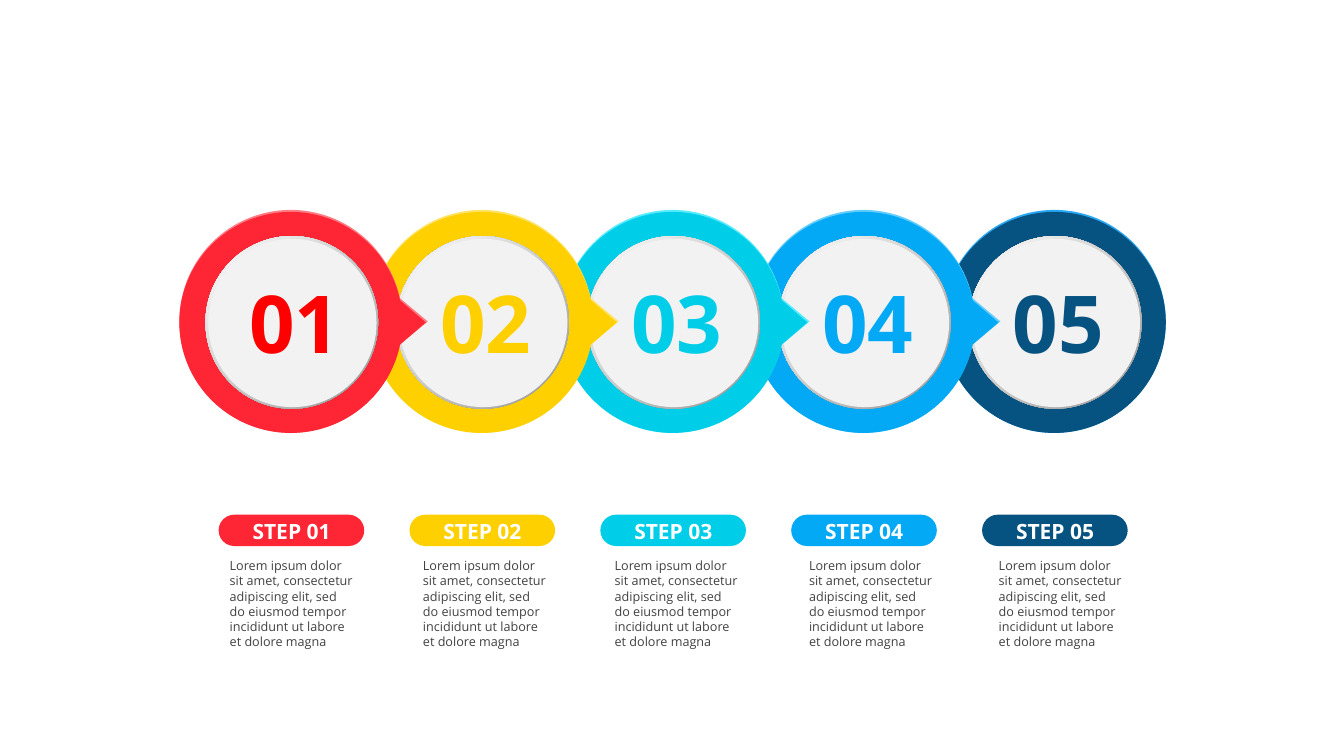
from math import cos, radians, sin

from pptx import Presentation
from pptx.dml.color import RGBColor
from pptx.enum.shapes import MSO_SHAPE
from pptx.enum.text import MSO_AUTO_SIZE, PP_ALIGN
from pptx.util import Cm, Pt

OVAL = MSO_SHAPE.OVAL
PILL = MSO_SHAPE.ROUNDED_RECTANGLE
FIT_SHAPE = MSO_AUTO_SIZE.SHAPE_TO_FIT_TEXT
CENTER, LEFT = PP_ALIGN.CENTER, PP_ALIGN.LEFT

RED = RGBColor(0xFE, 0x26, 0x35)
PURE_RED = RGBColor(0xFF, 0x00, 0x00)
LIGHT_RED = RGBColor(0xFE, 0x7D, 0x86)
YELLOW = RGBColor(0xFF, 0xD0, 0x00)
LIGHT_YELLOW = RGBColor(0xFF, 0xE3, 0x66)
CYAN = RGBColor(0x00, 0xCE, 0xE8)
LIGHT_CYAN = RGBColor(0x58, 0xEC, 0xFF)
BLUE = RGBColor(0x03, 0xA9, 0xF4)
LIGHT_BLUE = RGBColor(0x63, 0xCD, 0xFD)
NAVY = RGBColor(0x06, 0x53, 0x81)
BRIGHT_BLUE = RGBColor(0x28, 0xA8, 0xF5)
WHITE = RGBColor(0xFF, 0xFF, 0xFF)
FACE_GRAY = RGBColor(0xF2, 0xF2, 0xF2)
EDGE_GRAY = RGBColor(0x97, 0x97, 0x97)
TEXT_GRAY = RGBColor(0x41, 0x40, 0x42)

FONT = "Open Sans"
DESCRIPTION = ("Lorem ipsum dolor sit amet, consectetur adipiscing elit, "
               "sed do eiusmod tempor incididunt ut labore et dolore magna")

# number, ring colour, highlight colour, number colour, description left (cm)
STEPS = [
    ("01", RED, LIGHT_RED, PURE_RED, 5.54),
    ("02", YELLOW, LIGHT_YELLOW, YELLOW, 10.41),
    ("03", CYAN, LIGHT_CYAN, CYAN, 15.24),
    ("04", BLUE, LIGHT_BLUE, BLUE, 20.14),
    ("05", NAVY, BRIGHT_BLUE, NAVY, 24.92),
]

# All lengths below are in centimetres
FIRST_LEFT, PITCH = 4.52, 4.81
RING_TOP, RADIUS = 5.29, 2.81
TIP_REACH, TIP_HALF_ANGLE = 3.45, 12
HIGHLIGHT_DEPTH = 0.05
EDGE_INSET, EDGE_SIZE = 0.66, 4.35
FACE_INSET, FACE_SIZE = 0.73, 4.24
PILL_INSET, PILL_TOP, PILL_WIDTH, PILL_HEIGHT = 0.99, 12.97, 3.67, 0.79


def finish(shape, color):
    shape.shadow.inherit = False
    shape.line.fill.background()
    if color is not None:
        shape.fill.solid()
        shape.fill.fore_color.rgb = color
    return shape


def add_preset(slide, kind, left, top, width, height, color=None):
    shape = slide.shapes.add_shape(kind, Cm(left), Cm(top), Cm(width), Cm(height))
    return finish(shape, color)


def add_pointer(slide, left, drop, color):
    """Triangle on the ring's right side, its upper edge lowered by drop."""
    center_x, center_y = left + RADIUS, RING_TOP + RADIUS
    base_x = center_x + RADIUS * cos(radians(TIP_HALF_ANGLE))
    half_base = RADIUS * sin(radians(TIP_HALF_ANGLE))
    builder = slide.shapes.build_freeform(Cm(base_x), Cm(center_y - half_base + drop))
    builder.add_line_segments([
        (Cm(center_x + TIP_REACH - drop), Cm(center_y + drop / 2)),
        (Cm(base_x), Cm(center_y + half_base)),
    ], close=True)
    finish(builder.convert_to_shape(), color)


def add_ring(slide, left, color, highlight, pointed):
    for drop, layer_color in ((0, highlight), (HIGHLIGHT_DEPTH, color)):
        add_preset(slide, OVAL, left, RING_TOP + drop,
                   2 * RADIUS, 2 * RADIUS - drop, layer_color)
        if pointed:
            add_pointer(slide, left, drop, layer_color)


def add_disc(slide, left):
    edge = add_preset(slide, OVAL, left + EDGE_INSET, RING_TOP + EDGE_INSET,
                      EDGE_SIZE, EDGE_SIZE)
    edge.fill.gradient()
    edge.fill.gradient_angle = 135
    for stop, color in zip(edge.fill.gradient_stops, (EDGE_GRAY, WHITE)):
        stop.color.rgb = color
    add_preset(slide, OVAL, left + FACE_INSET, RING_TOP + FACE_INSET,
               FACE_SIZE, FACE_SIZE, FACE_GRAY)


def add_text(slide, box, text, size, color, heading=True):
    """Headings are bold, centred, unwrapped and without insets."""
    text_box = slide.shapes.add_textbox(*(Cm(length) for length in box))
    frame = text_box.text_frame
    frame.word_wrap = not heading
    frame.auto_size = FIT_SHAPE
    if heading:
        frame.margin_left = frame.margin_right = 0
        frame.margin_top = frame.margin_bottom = 0
    paragraph = frame.paragraphs[0]
    paragraph.alignment = CENTER if heading else LEFT
    run = paragraph.add_run()
    run.text = text
    run.font.name = FONT
    run.font.size = Pt(size)
    run.font.bold = heading
    run.font.color.rgb = color


def main():
    presentation = Presentation()
    presentation.slide_width = Cm(33.87)
    presentation.slide_height = Cm(19.05)
    slide = presentation.slides.add_slide(presentation.slide_layouts[6])

    columns = [(FIRST_LEFT + index * PITCH, *step) for index, step in enumerate(STEPS)]

    # Each ring's pointer overlaps the next ring, so the last one goes in first
    for left, number, color, highlight, _, _ in reversed(columns):
        add_ring(slide, left, color, highlight, pointed=number != STEPS[-1][0])
        add_disc(slide, left)

    for left, number, color, _, number_color, description_left in columns:
        add_text(slide, (left + 1.76, 6.91, 2.31, 2.44), number, 57, number_color)
        pill = add_preset(slide, PILL, left + PILL_INSET, PILL_TOP,
                          PILL_WIDTH, PILL_HEIGHT, color)
        pill.adjustments[0] = 0.5
        add_text(slide, (left + 1.84, 13.07, 1.98, 0.64), f"STEP {number}", 15, WHITE)
        add_text(slide, (description_left, 13.94, 3.66, 2.57), DESCRIPTION, 9,
                 TEXT_GRAY, heading=False)

    presentation.save("out.pptx")


if __name__ == "__main__":
    main()
